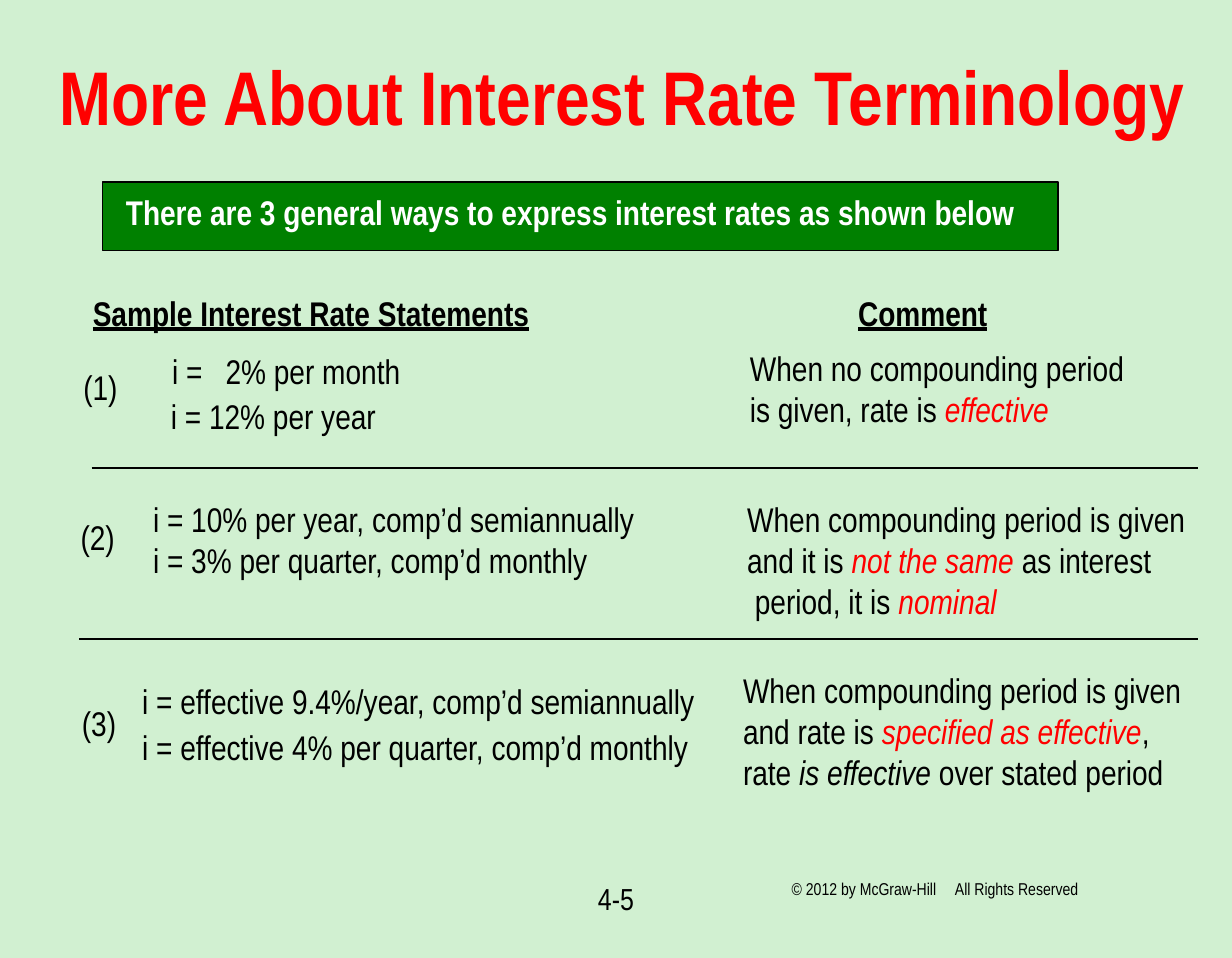
import pptx
import pptx.dml.color
import pptx.enum.shapes
import pptx.enum.text
import pptx.oxml
import pptx.oxml.ns
import pptx.util

PX = 9144  # 100 px to the inch
FONT = "Arial Narrow"
BLACK, RED, WHITE = "000000", "FF0000", "FFFFFF"
ALIGN = pptx.enum.text.PP_ALIGN
ANCHOR = pptx.enum.text.MSO_ANCHOR

# number, (left, top) of the number, statement boxes, (left, top) of the comment, comment lines
# a comment line is a list of (text, colour, italic)
RATE_WAYS = [
    ("(1)", (51, 263),
     [(116, 251, ["i =\t2% per month"]), (115, 284, ["i = 12% per year"])],
     (538, 249),
     [[("When no compounding period", BLACK, False)],
      [("is given, rate is ", BLACK, False), ("effective", RED, True)]]),
    ("(2)", (49, 372),
     [(102, 359, ["i = 10% per year, comp’d semiannually",
                  "i = 3% per quarter, comp’d monthly"])],
     (536, 359),
     [[("When compounding period is given", BLACK, False)],
      [("and it is ", BLACK, False), ("not the same ", RED, True), ("as interest", BLACK, False)],
      [(" period, it is ", BLACK, False), ("nominal", RED, True)]]),
    ("(3)", (50, 508),
     [(94, 492, ["i = effective 9.4%/year, comp’d semiannually"]),
      (94, 526, ["i = effective 4% per quarter, comp’d monthly"])],
     (533, 484),
     [[("When compounding period is given", BLACK, False)],
      [("and rate is ", BLACK, False), ("specified as effective", RED, True), (",", BLACK, False)],
      [("rate ", BLACK, False), ("is effective", BLACK, True),
       (" over stated period", BLACK, False)]]),
]


def px(length):
    return pptx.util.Emu(length * PX)


def rgb(value):
    return pptx.dml.color.RGBColor.from_string(value)


def place(shape, left, top, width, height):
    shape.left, shape.top = px(left), px(top)
    shape.width, shape.height = px(width), px(height)


def style(font, size=18, color=BLACK, bold=False, italic=False, underline=False):
    font.name = FONT
    font.size = pptx.util.Pt(size)
    font.color.rgb = rgb(color)
    font.bold, font.italic, font.underline = bold, italic, underline


def set_frame(frame, side=10, top=5, anchor=ANCHOR.TOP):
    frame.word_wrap = True
    frame.auto_size = pptx.enum.text.MSO_AUTO_SIZE.NONE
    frame.vertical_anchor = anchor
    frame.margin_left = frame.margin_right = px(side)
    frame.margin_top = frame.margin_bottom = px(top)


def fill_text(frame, text, align=ALIGN.LEFT, **look):
    frame.text = text
    for paragraph in frame.paragraphs:
        paragraph.alignment = align
        for run in paragraph.runs:
            style(run.font, **look)


def add_box(slide, left, top, width, height):
    box = slide.shapes.add_textbox(px(left), px(top), px(width), px(height))
    set_frame(box.text_frame)
    return box.text_frame


def add_label(slide, bounds, text, **look):
    frame = add_box(slide, *bounds)
    fill_text(frame, text, **look)
    return frame


def add_tab_stop(paragraph, position):
    stops = pptx.oxml.parse_xml(
        f'<a:tabLst {pptx.oxml.ns.nsdecls("a")}><a:tab pos="{px(position)}" algn="l"/></a:tabLst>')
    paragraph._p.get_or_add_pPr().append(stops)


def add_comment(slide, left, top, lines):
    frame = add_box(slide, left, top, 350, 10 + 30 * len(lines))
    for index, line in enumerate(lines):
        paragraph = frame.add_paragraph() if index else frame.paragraphs[0]
        for text, color, italic in line:
            run = paragraph.add_run()
            run.text = text
            style(run.font, color=color, italic=italic)


def add_rule(slide, left, right, y):
    rule = slide.shapes.add_connector(
        pptx.enum.shapes.MSO_CONNECTOR.STRAIGHT, px(left), px(y), px(right), px(y))
    rule.line.color.rgb = rgb(BLACK)
    rule.line.width = pptx.util.Pt(1.25)
    rule._element.spPr.append(
        pptx.oxml.parse_xml(f'<a:effectLst {pptx.oxml.ns.nsdecls("a")}/>'))


def add_banner(slide, text):
    banner = slide.shapes.add_shape(
        pptx.enum.shapes.MSO_SHAPE.RECTANGLE, px(75), px(133), px(698), px(50))
    banner.shadow.inherit = False
    banner.fill.solid()
    banner.fill.fore_color.rgb = rgb("008000")
    banner.line.color.rgb = rgb(BLACK)
    banner.line.width = pptx.util.Pt(0.75)
    set_frame(banner.text_frame, side=17, top=7)
    fill_text(banner.text_frame, text, color=WHITE, bold=True)


def add_rate_way(slide, number, number_at, statements, comment_at, comment):
    add_label(slide, (*number_at, 45, 40), number)
    for left, top, lines in statements:
        frame = add_label(slide, (left, top, 430, 10 + 30 * len(lines)), "\n".join(lines))
        for paragraph in frame.paragraphs:
            if "\t" in paragraph.text:
                add_tab_stop(paragraph, 39)
    add_comment(slide, *comment_at, comment)


def main():
    deck = pptx.Presentation()
    deck.slide_width, deck.slide_height = px(900), px(700)
    slide = deck.slides.add_slide(deck.slide_layouts.get_by_name("Title Only"))
    slide.background.fill.solid()
    slide.background.fill.fore_color.rgb = rgb("D1F0D1")

    title = slide.shapes.title
    place(title, 17, 25, 875, 89)
    set_frame(title.text_frame, anchor=ANCHOR.MIDDLE)
    fill_text(title.text_frame, "More About Interest Rate Terminology",
              align=ALIGN.CENTER, size=40, color=RED, bold=True)

    add_banner(slide, "There are 3 general ways to express interest rates as shown below")
    for left, width, heading in [(58, 400, "Sample Interest Rate Statements"),
                                 (617, 150, "Comment")]:
        add_label(slide, (left, 209, width, 40), heading, bold=True, underline=True)

    for way in RATE_WAYS:
        add_rate_way(slide, *way)
    add_rule(slide, 67, 875, 342)
    add_rule(slide, 58, 875, 467)

    add_label(slide, (390, 638, 120, 47), "4-5", align=ALIGN.CENTER, size=16)
    add_label(slide, (558, 637, 250, 29), "© 2012 by McGraw-Hill     All Rights Reserved",
              align=ALIGN.CENTER, size=9)
    deck.save("out.pptx")


if __name__ == "__main__":
    main()
